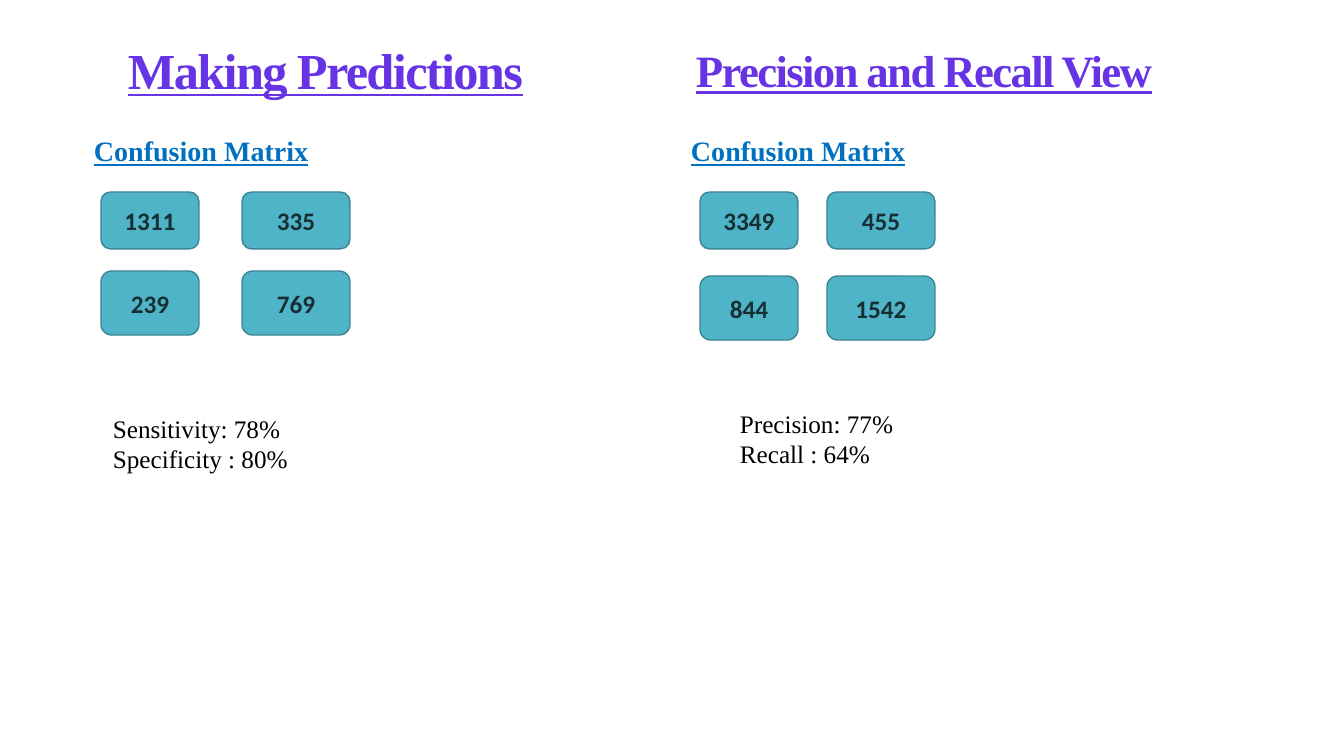
from pptx import Presentation
from pptx import util as u
from pptx.dml.color import RGBColor
from pptx.enum import shapes, text

PX = 914400 / 100.8
COLORS = {"title": "6633E5", "heading": "0070C0", "cell": "50B4C8",
          "cell_line": "3B8594", "cell_text": "162F33", "metric": "000000"}
SERIF = "Times New Roman"


def px(*lengths):
    return [u.Emu(round(n * PX)) for n in lengths]


def write(shape, lines, size, color, font=SERIF, bold=True, underline=False):
    """Fill a shape with equally styled paragraphs and return the last one."""
    frame = shape.text_frame
    frame.word_wrap = True
    frame.text = "\n".join(lines)
    for paragraph in frame.paragraphs:
        style = paragraph.font
        style.name, style.size = font, u.Pt(size)
        style.bold, style.underline = bold, underline
        style.color.rgb = RGBColor.from_string(COLORS[color])
    return paragraph


views = [
    dict(title="Making Predictions", title_size=36, title_box=(118, 35, 428, 78),
         heading_box=(74, 134, 461, 231), columns=(101, 242), rows=(192, 271),
         matrix=((1311, 335), (239, 769)),
         metrics=("Sensitivity: 78%", "Specificity : 80%"), metrics_at=(103, 408)),
    dict(title="Precision and Recall View", title_size=32, title_box=(686, 35, 540, 78),
         heading_box=(671, 134, 493, 201), columns=(700, 827), rows=(192, 276),
         matrix=((3349, 455), (844, 1542)),
         metrics=("Precision: 77%", "Recall : 64%"), metrics_at=(730, 403)),
]
COLUMN_WIDTHS = (98, 108)
ROW_HEIGHTS = (57, 64)

deck = Presentation()
deck.slide_width, deck.slide_height = px(1344, 756)
slide = deck.slides.add_slide(deck.slide_layouts[6])

for view in views:
    title = slide.shapes.add_textbox(*px(*view["title_box"]))
    line = write(title, [view["title"]], view["title_size"], "title", underline=True)
    title.text_frame.vertical_anchor = text.MSO_ANCHOR.MIDDLE
    line.line_spacing = 0.85
    line.runs[0].font._element.set("spc", "-120")

    heading = slide.shapes.add_textbox(*px(*view["heading_box"]))
    line = write(heading, ["Confusion Matrix"], 20, "heading", underline=True)
    heading.text_frame.margin_left = px(20)[0]
    line.line_spacing = 0.85

    for y, height, counts in zip(view["rows"], ROW_HEIGHTS, view["matrix"]):
        for x, width, count in zip(view["columns"], COLUMN_WIDTHS, counts):
            cell = slide.shapes.add_shape(shapes.MSO_SHAPE.ROUNDED_RECTANGLE,
                                          *px(x, y, width, height))
            cell.shadow.inherit = False
            cell.fill.solid()
            cell.fill.fore_color.rgb = RGBColor.from_string(COLORS["cell"])
            cell.line.color.rgb = RGBColor.from_string(COLORS["cell_line"])
            cell.line.width = u.Pt(1)
            line = write(cell, [str(count)], 18, "cell_text", font="Calibri")
            line.alignment = text.PP_ALIGN.CENTER
            cell.text_frame.vertical_anchor = text.MSO_ANCHOR.MIDDLE

    metrics = slide.shapes.add_textbox(*px(*view["metrics_at"], 248, 72))
    write(metrics, view["metrics"], 18, "metric", bold=False)

deck.save("out.pptx")
